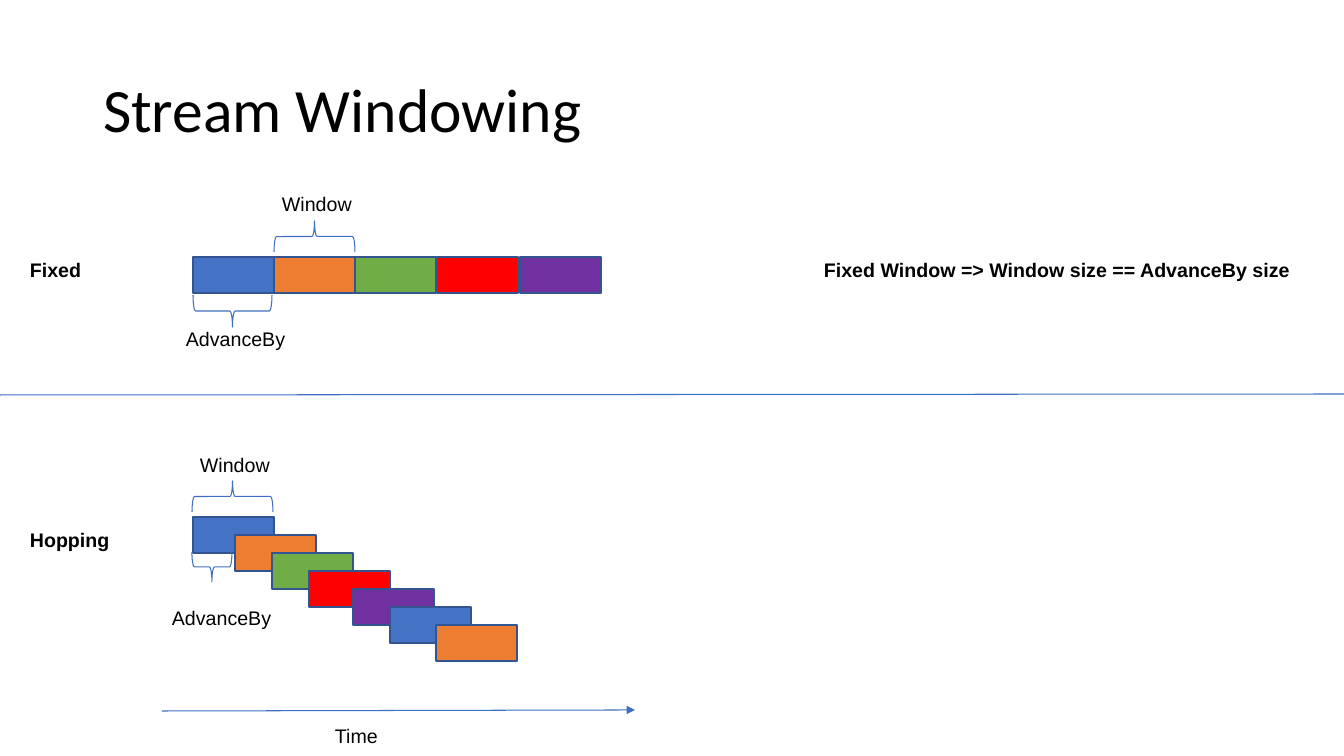
import pptx
import pptx.util
import pptx.dml.color
import pptx.enum.shapes
import pptx.enum.text
import pptx.oxml.ns
import lxml.etree

RGB = pptx.dml.color.RGBColor
SHAPE = pptx.enum.shapes.MSO_SHAPE
TEXT = pptx.enum.text

BLACK = RGB(0x00, 0x00, 0x00)
BLUE = RGB(0x44, 0x72, 0xC4)
ORANGE = RGB(0xED, 0x7D, 0x31)
GREEN = RGB(0x70, 0xAD, 0x47)
RED = RGB(0xFF, 0x00, 0x00)
PURPLE = RGB(0x70, 0x30, 0xA0)
EDGE = RGB(0x32, 0x54, 0x91)
THIN = RGB(0x3F, 0x6F, 0xC3)
FILLS = [BLUE, ORANGE, GREEN, RED, PURPLE, BLUE, ORANGE]

SCALE = 914400 / 100.8
BOX_W, BOX_H = 81, 36
FIXED_XS = [193, 274, 355, 437, 520]
FIXED_Y = 257
HOP_XS = [193, 235, 272, 309, 353, 390, 436]
HOP_Y, HOP_STEP = 517, 18


def emu(*sizes):
    """Turn pixel lengths into EMU."""
    return [round(size * SCALE) for size in sizes]


def style(line, color, width):
    """Set the colour and width of a line."""
    line.color.rgb = color
    line.width = pptx.util.Pt(width)


def add_title(slide, text):
    """Fill and place the title."""
    title = slide.shapes.title
    title.left, title.top, title.width, title.height = emu(93, 40, 1159, 146)
    frame = title.text_frame
    frame.text = text
    frame.auto_size = TEXT.MSO_AUTO_SIZE.NONE
    frame.vertical_anchor = TEXT.MSO_ANCHOR.MIDDLE
    inset = pptx.util.Inches(0.1)
    frame.margin_left = frame.margin_right = inset
    frame.margin_top = frame.margin_bottom = inset
    para = frame.paragraphs[0]
    para.alignment = TEXT.PP_ALIGN.LEFT
    para.line_spacing = 0.9
    para.font.name = "Calibri"
    para.font.size = pptx.util.Pt(44)
    para.font.color.rgb = BLACK


def add_boxes(slide, lefts, top, step=0):
    """Draw one window box per left edge, each a step lower."""
    for row, (left, fill) in enumerate(zip(lefts, FILLS)):
        box = slide.shapes.add_shape(
            SHAPE.RECTANGLE, *emu(left, top + row * step, BOX_W, BOX_H))
        box.shadow.inherit = False
        box.fill.solid()
        box.fill.fore_color.rgb = fill
        style(box.line, EDGE, 2)


def add_brace(slide, left, top, width, height, turn):
    """Draw a flat brace that covers the given area once turned."""
    x = left + (width - height) / 2
    y = top + (height - width) / 2
    brace = slide.shapes.add_shape(SHAPE.LEFT_BRACE, *emu(x, y, height, width))
    brace.rotation = turn
    brace.shadow.inherit = False
    brace.fill.background()
    style(brace.line, THIN, 0.75)


def add_label(slide, text, left, top, width, bold=False):
    """Add a one-line label."""
    label = slide.shapes.add_textbox(*emu(left, top, width, 34))
    frame = label.text_frame
    frame.word_wrap = False
    frame.auto_size = TEXT.MSO_AUTO_SIZE.SHAPE_TO_FIT_TEXT
    frame.text = text
    font = frame.paragraphs[0].font
    font.name = "Arial"
    font.size = pptx.util.Pt(14)
    font.bold = bold
    font.color.rgb = BLACK


def add_line(slide, start, end, arrow=False):
    """Draw a thin line, with an arrowhead at its end if asked."""
    line = slide.shapes.add_connector(
        pptx.enum.shapes.MSO_CONNECTOR.STRAIGHT, *emu(*start, *end))
    style(line.line, THIN, 0.75)
    qn = pptx.oxml.ns.qn
    if arrow:
        tail = lxml.etree.SubElement(line.line._get_or_add_ln(), qn("a:tailEnd"))
        tail.set("type", "triangle")
    lxml.etree.SubElement(line._element.spPr, qn("a:effectLst"))


def main():
    """Build the slide and save it."""
    deck = pptx.Presentation()
    deck.slide_width, deck.slide_height = emu(1344, 756)
    slide = deck.slides.add_slide(deck.slide_layouts[5])
    add_title(slide, "Stream Windowing ")

    add_boxes(slide, FIXED_XS, FIXED_Y)
    add_boxes(slide, HOP_XS, HOP_Y, HOP_STEP)

    add_brace(slide, 274, 221, 81, 31, 90)
    add_brace(slide, 193, 295, 79, 32, 270)
    add_brace(slide, 192, 481, 81, 31, 90)
    add_brace(slide, 192, 552, 40, 30, 270)

    add_label(slide, "Fixed", 20, 253, 72, bold=True)
    add_label(slide, "Window", 272, 187, 91)
    add_label(slide, "AdvanceBy", 176, 322, 120)
    add_label(slide, "Fixed Window => Window size == AdvanceBy size",
              814, 253, 489, bold=True)
    add_label(slide, "Hopping", 20, 523, 100, bold=True)
    add_label(slide, "Window", 190, 448, 91)
    add_label(slide, "AdvanceBy", 162, 601, 120)
    add_label(slide, "Time", 325, 719, 64)

    add_line(slide, (0, 395), (1344, 394))
    add_line(slide, (162, 711), (635, 710), arrow=True)
    deck.save("out.pptx")


main()
